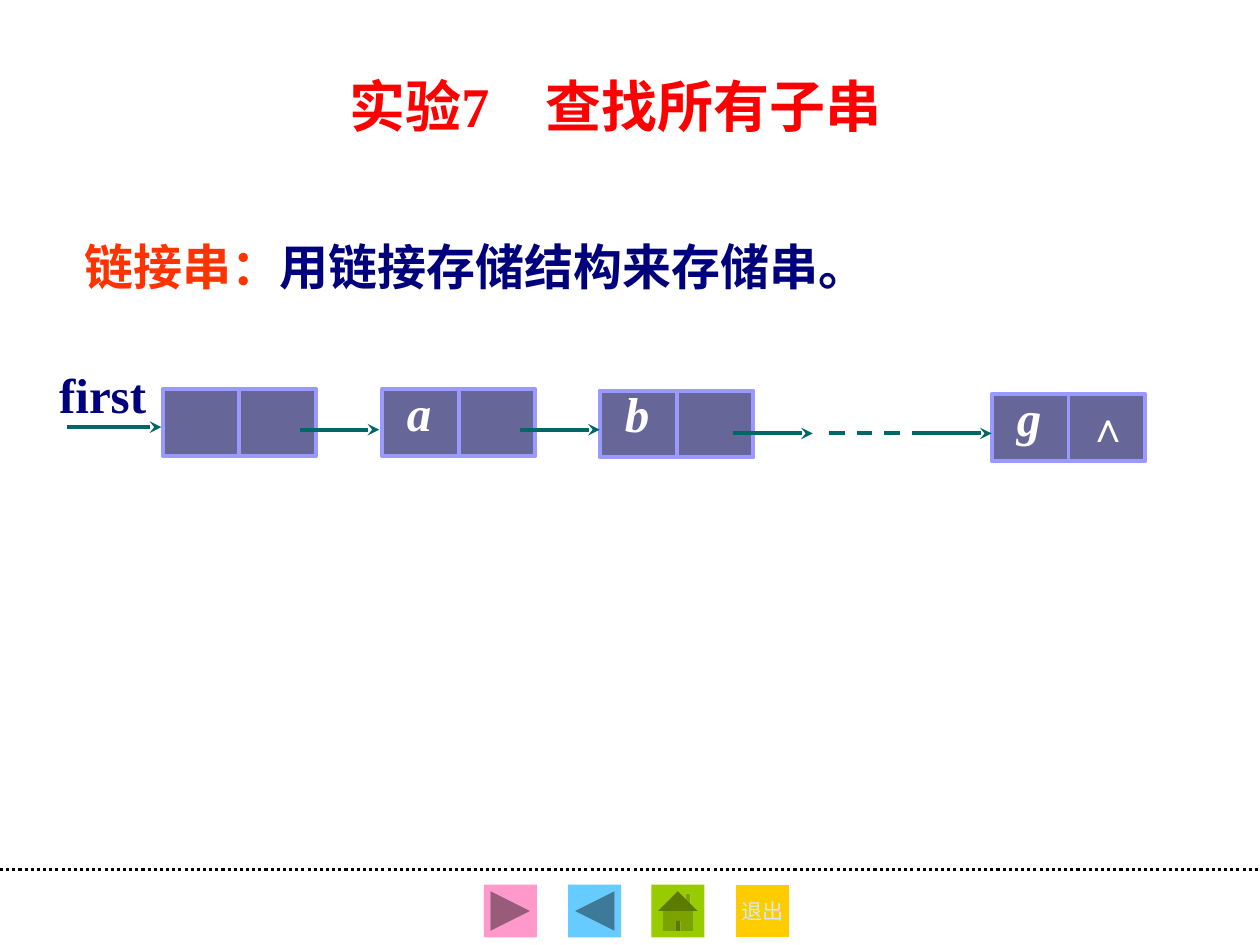
import pptx
import pptx.dml.color
import pptx.enum.dml
import pptx.enum.shapes
import pptx.enum.text
import pptx.oxml.ns
import pptx.util
from lxml import etree

PX = 9144  # EMU in one px, 100 px to the inch

COLORS = {
    "title": "FF0000",
    "term": "FF3300",
    "body": "00007D",
    "node": "666699",
    "border": "9999FF",
    "arrow": "006666",
    "white": "FFFFFF",
    "rule": "000000",
    "next": "FF99CC",
    "previous": "66CCFF",
    "home": "99CC00",
    "exit": "FFCC00",
    "exit_text": "CCECFF",
}
LATIN = "Times New Roman"
CJK = "Noto Sans CJK SC"
SHAPE = pptx.enum.shapes.MSO_SHAPE
DASH = pptx.enum.dml.MSO_LINE
ALIGN = pptx.enum.text.PP_ALIGN
ANCHOR = pptx.enum.text.MSO_ANCHOR


def rgb(color):
    return pptx.dml.color.RGBColor.from_string(COLORS[color])


def emu(*lengths):
    return [length * PX for length in lengths]


def set_values(target, values):
    for name, value in values.items():
        setattr(target, name, value)


def write(shape, runs, size, font=LATIN, margins=(10, 5, 10, 5), frame=None, paragraph=None, **style):
    """Fill a shape with one paragraph of (text, color) runs; margins run left, top, right, bottom."""
    text_frame = shape.text_frame
    sides = ("margin_left", "margin_top", "margin_right", "margin_bottom")
    set_values(text_frame, dict(zip(sides, emu(*margins))))
    set_values(text_frame, {"word_wrap": True, "vertical_anchor": ANCHOR.TOP} | (frame or {}))
    line = text_frame.paragraphs[0]
    set_values(line, {"alignment": ALIGN.LEFT} | (paragraph or {}))
    for text, color in runs:
        run = line.add_run()
        run.text = text
        set_values(run.font, {"size": pptx.util.Pt(size), "name": font, "bold": True} | style)
        run.font.color.rgb = rgb(color)
        east_asian = etree.SubElement(run.font._element, pptx.oxml.ns.qn("a:ea"))
        east_asian.set("typeface", CJK)


def add_text(slide, box, runs, size, **options):
    write(slide.shapes.add_textbox(*emu(*box)), runs, size, **options)


def add_filled(slide, kind, box, fill, border=None):
    shape = slide.shapes.add_shape(kind, *emu(*box))
    shape.shadow.inherit = False
    shape.fill.solid()
    shape.fill.fore_color.rgb = rgb(fill)
    if border:
        shape.line.color.rgb = rgb(border)
        shape.line.width = pptx.util.Pt(2.25)
    else:
        shape.line.fill.background()
    return shape


def add_line(slide, start, end, color, width=2.25, dash=None, arrow=False):
    connector = slide.shapes.add_connector(
        pptx.enum.shapes.MSO_CONNECTOR.STRAIGHT, *emu(*start, *end))
    connector.line.color.rgb = rgb(color)
    set_values(connector.line, {"width": pptx.util.Pt(width), "dash_style": dash})
    properties = connector._element.spPr
    if arrow:
        outline = properties.find(pptx.oxml.ns.qn("a:ln"))
        etree.SubElement(outline, pptx.oxml.ns.qn("a:tailEnd"), type="stealth")
    etree.SubElement(properties, pptx.oxml.ns.qn("a:effectLst"))
    return connector


def add_node(slide, left, top, letter):
    """A list node: a data field and a link field with a divider between."""
    width, height = 122, 53
    node = add_filled(slide, SHAPE.RECTANGLE, (left, top, width, height), "node", "border")
    if letter:
        write(node, [(letter, "white")], 28, margins=(20, 0, 0, 8),
              paragraph={"line_spacing": 0.9}, italic=True)
    middle = left + width // 2
    divider = add_line(slide, (middle, top), (middle, top + height), "border")
    divider.begin_connect(node, 0)
    divider.end_connect(node, 2)


def add_linked_list(slide, left, top):
    for x, y, letter in ((82, 20, ""), (256, 20, "a"), (429, 21, "b"), (740, 24, "g")):
        add_node(slide, left + x, top + y, letter)
    add_text(slide, (left, top, 83, 51), [("first", "body")], 28, margins=(0, 0, 0, 4))
    add_text(slide, (left + 806, top + 24, 57, 49), [("∧", "white")], 24, margins=(10, 5, 10, 4))
    for x, y, length in ((6, 50, 75), (191, 52, 63), (366, 52, 63), (535, 55, 63), (677, 55, 63)):
        add_line(slide, (left + x, top + y), (left + x + length, top + y), "arrow", arrow=True)
    add_line(slide, (left + 611, top + 55), (left + 673, top + 55), "arrow", dash=DASH.DASH)


def add_navigation(slide, left, top, width):
    """The dotted rule across the slide and four evenly spaced buttons below it."""
    add_line(slide, (0, top), (1000, top), "rule", 1.75, DASH.ROUND_DOT)
    buttons = (
        (SHAPE.ACTION_BUTTON_FORWARD_OR_NEXT, "next"),
        (SHAPE.ACTION_BUTTON_BACK_OR_PREVIOUS, "previous"),
        (SHAPE.ACTION_BUTTON_HOME, "home"),
        (SHAPE.ACTION_BUTTON_CUSTOM, "exit"),
    )
    side = 42
    for index, (kind, fill) in enumerate(buttons):
        x = left + round(index * (width - side) / (len(buttons) - 1))
        button = add_filled(slide, kind, (x, top + 12, side, side), fill)
    write(button, [("退出", "exit_text")], 12, font="Arial", bold=False,
          frame={"word_wrap": False, "vertical_anchor": ANCHOR.MIDDLE},
          paragraph={"alignment": ALIGN.CENTER})


def main():
    presentation = pptx.Presentation()
    presentation.slide_width, presentation.slide_height = emu(1000, 750)
    slide = presentation.slides.add_slide(presentation.slide_layouts[6])
    add_navigation(slide, 384, 690, 242)
    add_text(slide, (53, 52, 871, 63), [("实验7　查找所有子串", "title")], 32,
             paragraph={"alignment": ALIGN.CENTER})
    add_text(slide, (57, 183, 805, 57),
             [("链接串：", "term"), ("用链接存储结构来存储串。", "body")], 28,
             font=CJK, paragraph={"alignment": ALIGN.JUSTIFY})
    add_linked_list(slide, 47, 289)
    presentation.save("out.pptx")


if __name__ == "__main__":
    main()
